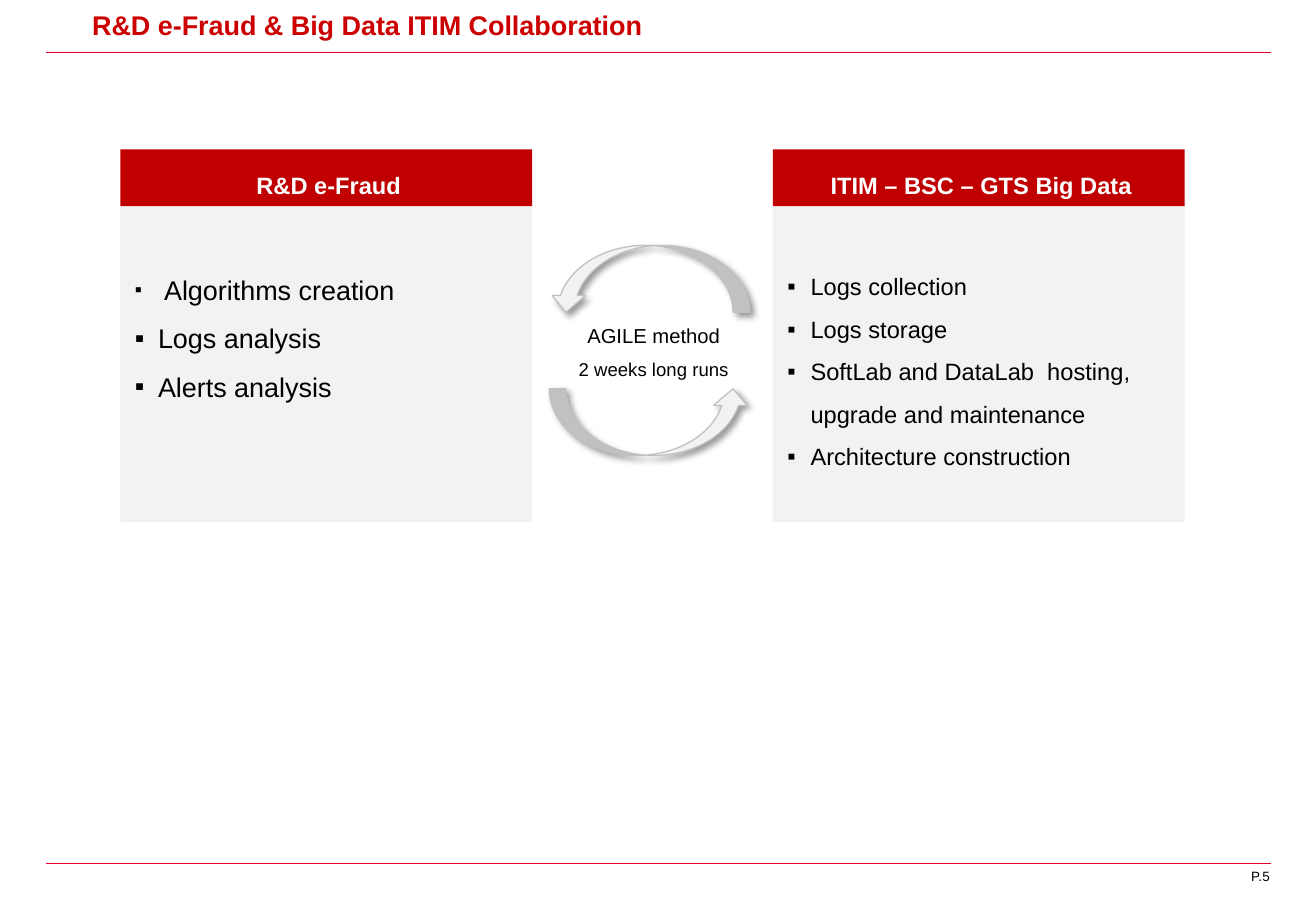
"""Build the R&D e-Fraud and Big Data collaboration slide."""
import pptx
import pptx.util
import pptx.dml.color
import pptx.enum.shapes
import pptx.enum.text
import pptx.oxml
import pptx.oxml.ns

Inches, Pt = pptx.util.Inches, pptx.util.Pt
RGB = pptx.dml.color.RGBColor
SHAPE = pptx.enum.shapes.MSO_SHAPE
ALIGN = pptx.enum.text.PP_ALIGN
ANCHOR = pptx.enum.text.MSO_ANCHOR

TITLE = "R&D e-Fraud & Big Data ITIM Collaboration"
PAGE = "P.5"
PANELS = [
    {"left": 0.99, "head": "R&D e-Fraud", "size": 16, "bottom": 0.61,
     "items": [("Algorithms creation", 0.24, 75), ("Logs analysis", 0.19, 100),
               ("Alerts analysis", 0.19, 100)]},
    {"left": 6.36, "head": "ITIM – BSC – GTS Big Data", "size": 14, "bottom": 0.04,
     "items": [("Logs collection", 0.19, 100), ("Logs storage", 0.19, 100),
               ("SoftLab and DataLab  hosting, upgrade and maintenance", 0.19, 100),
               ("Architecture construction", 0.19, 100)]},
]
METHOD = [("AGILE method", 12), ("2 weeks long runs", 11)]
RULES_Y = [0.43, 7.11]
ARROWS = [(3.2, 0), (2.02, 180)]
PANEL_TOP, PANEL_W, HEAD_H, BODY_H = 1.23, 3.39, 0.47, 2.6
INSETS = (0.12, 0.04, 0.08, 0.04)

RULE_RED = RGB(0xE6, 0x00, 0x28)
TITLE_RED = RGB(0xCC, 0x00, 0x00)
HEAD_RED = RGB(0xC0, 0x00, 0x00)
LIGHT = RGB(0xF2, 0xF2, 0xF2)
GREY = RGB(0xC0, 0xC0, 0xC0)
BLACK = RGB(0, 0, 0)
WHITE = RGB(0xFF, 0xFF, 0xFF)

SHADOW = (f'<a:effectLst {pptx.oxml.ns.nsdecls("a")}>'
          f'<a:outerShdw blurRad="{Pt(4)}" dist="{Pt(3)}" dir="2700000" algn="tl" rotWithShape="0">'
          '<a:srgbClr val="000000"><a:alpha val="40000"/></a:srgbClr>'
          '</a:outerShdw></a:effectLst>')


def add_bullet(p, indent, percent):
    pPr = p._p.get_or_add_pPr()
    pPr.set("marL", str(Inches(indent)))
    pPr.set("indent", str(-Inches(indent)))
    for tag, key, value in (("buSzPct", "val", str(percent * 1000)),
                            ("buFont", "typeface", "Arial"), ("buChar", "char", "▪")):
        pPr.append(pptx.oxml.parse_xml(
            f'<a:{tag} {pptx.oxml.ns.nsdecls("a")} {key}="{value}"/>'))


def write(sp, lines, color, bold=False, align=ALIGN.CENTER, spacing=1.5,
          insets=INSETS, anchor=ANCHOR.MIDDLE):
    tf = sp.text_frame
    tf.word_wrap = True
    tf.vertical_anchor = anchor
    tf.margin_left, tf.margin_top, tf.margin_right, tf.margin_bottom = map(Inches, insets)
    tf.text = "\n".join(text for text, _ in lines)
    for p, (_, size) in zip(tf.paragraphs, lines):
        p.alignment, p.line_spacing = align, spacing
        font = p.runs[0].font
        font.name, font.size, font.bold = "Arial", Pt(size), bold
        font.color.rgb = color
    return tf


def add_box(s, box, lines, color, **style):
    return write(s.shapes.add_textbox(*map(Inches, box)), lines, color, **style)


def add_filled(s, kind, box, fill):
    sp = s.shapes.add_shape(kind, *map(Inches, box))
    sp.shadow.inherit = False
    sp.fill.solid()
    sp.fill.fore_color.rgb = fill
    sp.line.fill.background()
    return sp


def add_rule(s, y):
    line = s.shapes.add_connector(pptx.enum.shapes.MSO_CONNECTOR.STRAIGHT,
                                  Inches(0.38), Inches(y), Inches(10.46), Inches(y))
    line.line.color.rgb = RULE_RED
    line.line.width = Pt(0.5)
    line._element.spPr.append(pptx.oxml.parse_xml(
        f'<a:effectLst {pptx.oxml.ns.nsdecls("a")}/>'))


def add_panel(s, panel):
    left, size = panel["left"], panel["size"]
    head = add_filled(s, SHAPE.RECTANGLE, (left, PANEL_TOP, PANEL_W, HEAD_H), HEAD_RED)
    write(head, [(panel["head"], 14)], WHITE, bold=True)
    body = add_filled(s, SHAPE.RECTANGLE, (left, PANEL_TOP + HEAD_H, PANEL_W, BODY_H), LIGHT)
    tf = write(body, [(text, size) for text, _, _ in panel["items"]], BLACK,
               align=ALIGN.LEFT, insets=INSETS[:3] + (panel["bottom"],))
    for p, (_, indent, percent) in zip(tf.paragraphs, panel["items"]):
        add_bullet(p, indent, percent)


def add_arrow(s, top, rotation):
    sp = add_filled(s, SHAPE.CURVED_UP_ARROW, (4.52, top, 1.65, 0.55), LIGHT)
    sp.line.color.rgb = GREY
    sp.line.width = Pt(0.75)
    sp.rotation = rotation
    spPr = sp._element.spPr
    spPr.replace(spPr.find(pptx.oxml.ns.qn("a:effectLst")), pptx.oxml.parse_xml(SHADOW))


def main():
    prs = pptx.Presentation()
    prs.slide_width, prs.slide_height = Inches(10.83), Inches(7.5)
    s = prs.slides.add_slide(prs.slide_layouts[6])
    for y in RULES_Y:
        add_rule(s, y)
    add_box(s, (0.66, 0.05, 9.28, 0.42), [(TITLE, 16)], TITLE_RED, bold=True,
            align=ALIGN.LEFT, spacing=0.9, insets=(0.1, 0.05, 0.1, 0.05), anchor=ANCHOR.TOP)
    add_box(s, (10.02, 7.15, 0.43, 0.19), [(PAGE, 8)], BLACK, align=ALIGN.RIGHT,
            spacing=1.0, insets=(0, 0, 0, 0), anchor=ANCHOR.TOP)
    for panel in PANELS:
        add_panel(s, panel)
    for top, rotation in ARROWS:
        add_arrow(s, top, rotation)
    add_box(s, (4.61, 2.57, 1.5, 0.55), METHOD, BLACK)
    prs.save("out.pptx")


if __name__ == "__main__":
    main()
